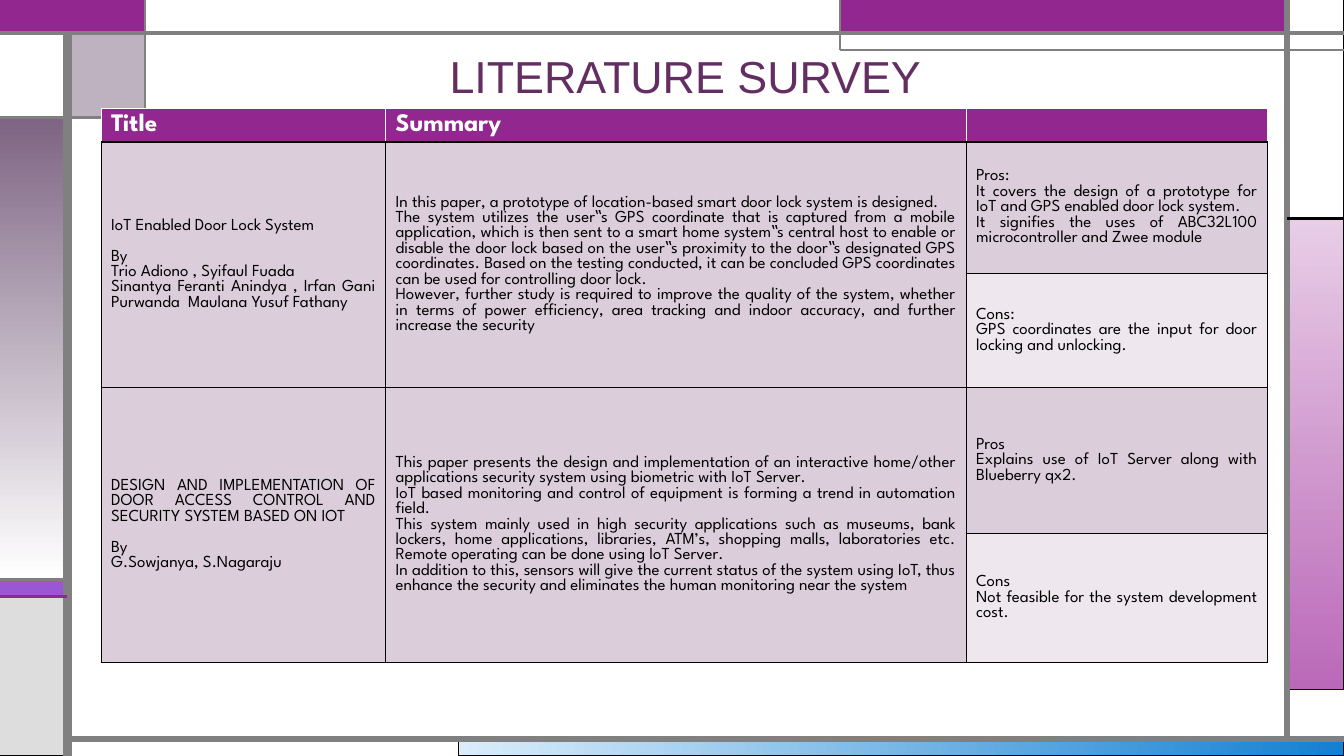
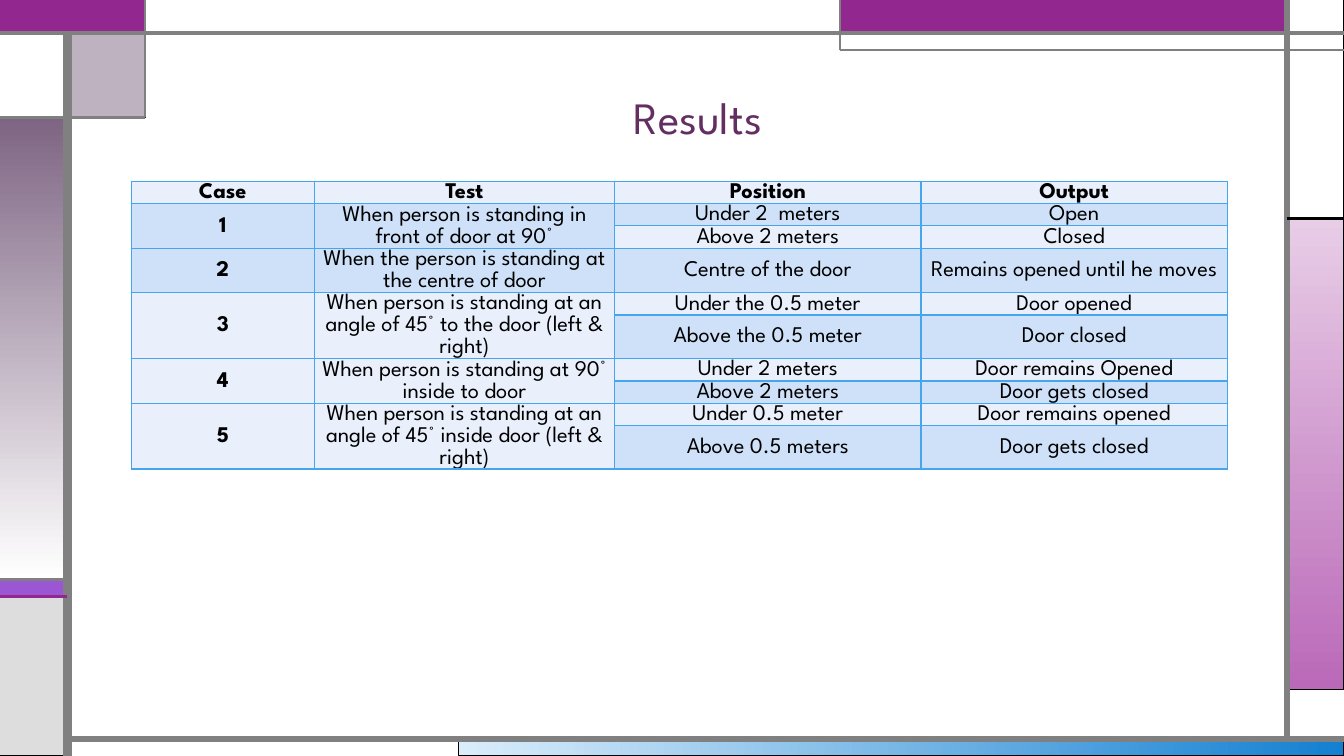
from dataclasses import dataclass

from lxml import etree
from pptx import Presentation
from pptx import util as u
from pptx.dml.color import RGBColor
from pptx.enum import shapes, text
from pptx.oxml import ns


@dataclass(frozen=True)
class Theme:
    purple: str = "92278F"
    violet: str = "9B57D3"
    indigo: str = "755DD9"
    mauve: str = "7E6583"
    plum: str = "632E62"
    lilac: str = "DCCDDB"
    pale_lilac: str = "EEE8EE"
    pink: str = "E8CDE7"
    orchid: str = "BA69B8"
    blue: str = "1480D1"
    sky: str = "45A5ED"
    ice: str = "DAEDFB"
    light_blue: str = "CFE1F8"
    pale_blue: str = "E9F0FC"
    grey: str = "808080"
    silver: str = "DDDDDD"
    black: str = "000000"
    white: str = "FFFFFF"
    body_font: str = "League Spartan"
    plain_font: str = "Arial"
    title_size: float = 32
    header_size: float = 18
    survey_size: float = 12
    result_size: float = 16


@dataclass(frozen=True)
class Band:
    left: float
    top: float
    right: float
    bottom: float
    fill: str
    end: str = ""
    angle: int = 0
    opacity: int = 100
    line: str = "000000"
    weight: float = 0.75


@dataclass(frozen=True)
class Rule:
    x1: float
    y1: float
    x2: float
    y2: float
    weight: float
    color: str = "808080"


@dataclass(frozen=True)
class CellStyle:
    fill: str
    size: float
    borders: tuple[str, str, str, str]
    color: str = "000000"
    bold: bool = False
    align: text.PP_ALIGN = text.PP_ALIGN.JUSTIFY
    anchor: text.MSO_ANCHOR = text.MSO_ANCHOR.MIDDLE
    margin_x: float = 0.25
    margin_y: float = 0.13
    spacing: float = 1.0
    after: float = 0


@dataclass(frozen=True)
class Paper:
    title: tuple[str, ...]
    summary: tuple[str, ...]
    pros: tuple[str, ...]
    cons: tuple[str, ...]


@dataclass(frozen=True)
class TestCase:
    test: str
    outcomes: tuple[tuple[str, str], ...]


T = Theme()
W, H = 33.87, 19.05
X_RAIL, X_BLOCK, X_FOOT, X_TOP, X_SIDE = 1.7, 3.66, 11.56, 21.16, 32.44
Y_TOP, Y_TAB, Y_BLOCK, Y_SIDE = 0.84, 1.27, 2.96, 5.51
Y_RAIL, Y_STRIPE, Y_PINK, Y_FOOT = 14.6, 15.04, 17.37, 18.62

BANDS = (
    Band(X_FOOT, Y_FOOT, W, H, T.ice, T.blue),
    Band(X_SIDE, Y_SIDE, W, Y_PINK, T.pink, T.orchid, 270),
    Band(0, Y_RAIL, X_RAIL, Y_STRIPE, T.violet),
    Band(0, Y_STRIPE, X_RAIL, H, T.silver),
    Band(X_SIDE, 0, W, Y_SIDE, T.white),
    Band(X_TOP, 0, X_SIDE, Y_TOP, T.purple, line=T.indigo),
    Band(X_RAIL, Y_TOP, X_BLOCK, Y_BLOCK, T.mauve, opacity=50),
    Band(0, Y_BLOCK, X_RAIL, Y_RAIL, T.mauve, T.white, 270),
    Band(0, Y_TOP, X_RAIL, Y_BLOCK, T.white),
    Band(0, 0, X_BLOCK, Y_TOP, T.purple, line=T.purple, weight=1.5),
    Band(X_BLOCK, 0, X_TOP, Y_TOP, T.white, line=T.grey),
)
RULES = (
    Rule(X_RAIL, H, X_RAIL, Y_TOP, 6),
    Rule(X_RAIL, Y_FOOT, W, Y_FOOT, 4.5),
    Rule(X_SIDE, Y_FOOT, X_SIDE, 0, 4.5),
    Rule(0, Y_TOP, W, Y_TOP, 3),
    Rule(W, Y_TAB, X_TOP, Y_TAB, 1.5),
    Rule(X_TOP, Y_TAB, X_TOP, 0, 1.5),
    Rule(X_SIDE, Y_SIDE, W, Y_SIDE, 2.25, T.black),
    Rule(X_BLOCK, 0, X_BLOCK, Y_BLOCK, 1.5),
    Rule(X_BLOCK, Y_BLOCK, 0, Y_BLOCK, 2.25),
    Rule(X_RAIL, Y_RAIL, 0, Y_RAIL, 2.25),
    Rule(X_RAIL, Y_STRIPE, 0, Y_STRIPE, 2.25, T.purple),
)

PAPERS = (
    Paper(
        ("IoT Enabled Door Lock System", "By", "Trio Adiono , Syifaul Fuada",
         "Sinantya Feranti Anindya , Irfan Gani Purwanda  Maulana Yusuf Fathany"),
        ("In this paper, a prototype of location-based smart door lock system is designed.",
         "The system utilizes the user‟s GPS coordinate that is captured from a mobile application, "
         "which is then sent to a smart home system‟s central host to enable or disable the door lock "
         "based on the user‟s proximity to the door‟s designated GPS coordinates. Based on the testing "
         "conducted, it can be concluded GPS coordinates can be used for controlling door lock.",
         "However, further study is required to improve the quality of the system, whether in terms of "
         "power efficiency, area tracking and indoor accuracy, and further increase the security"),
        ("Pros:", "It covers the design of a prototype for IoT and GPS enabled door lock system.",
         "It signifies the uses of ABC32L100 microcontroller and Zwee module"),
        ("Cons:", "GPS coordinates are the input for door locking and unlocking."),
    ),
    Paper(
        ("DESIGN AND IMPLEMENTATION OF DOOR ACCESS CONTROL AND SECURITY SYSTEM BASED ON IOT",
         "By", "G.Sowjanya, S.Nagaraju"),
        ("This paper presents the design and implementation of an interactive home/other applications "
         "security system using biometric with IoT Server.",
         "IoT based monitoring and control of equipment is forming a trend in automation field.",
         "This system mainly used in high security applications such as museums, bank lockers, home "
         "applications, libraries, ATM’s, shopping malls, laboratories etc. Remote operating can be "
         "done using IoT Server.",
         "In addition to this, sensors will give the current status of the system using IoT, thus "
         "enhance the security and eliminates the human monitoring near the system"),
        ("Pros", "Explains use of IoT Server along with Blueberry qx2."),
        ("Cons", "Not feasible for the system development cost."),
    ),
)
TEST_CASES = (
    TestCase("When person is standing in front of door at 90°",
             (("Under 2  meters", "Open"), ("Above 2 meters", "Closed"))),
    TestCase("When the person is standing at the centre of door",
             (("Centre of the door", "Remains opened until he moves"),)),
    TestCase("When person is standing at an angle of 45° to the door (left & right)",
             (("Under the 0.5 meter", "Door opened"), ("Above the 0.5 meter", "Door closed"))),
    TestCase("When person is standing at 90° inside to door",
             (("Under 2 meters", "Door remains Opened"), ("Above 2 meters", "Door gets closed"))),
    TestCase("When person is standing at an angle of 45° inside door (left & right)",
             (("Under 0.5 meter", "Door remains opened"), ("Above 0.5 meters", "Door gets closed"))),
)


def rgb(color: str) -> RGBColor:
    return RGBColor.from_string(color)


def add_band(slide, band: Band):
    sp = slide.shapes.add_shape(
        shapes.MSO_SHAPE.RECTANGLE, u.Cm(band.left), u.Cm(band.top),
        u.Cm(band.right - band.left), u.Cm(band.bottom - band.top))
    sp.shadow.inherit = False
    sp.line.color.rgb = rgb(band.line)
    sp.line.width = u.Pt(band.weight)
    if band.end:
        sp.fill.gradient()
        sp.fill.gradient_angle = band.angle
        for stop, color in zip(sp.fill.gradient_stops, (band.fill, band.end)):
            stop.color.rgb = rgb(color)
    else:
        sp.fill.solid()
        sp.fill.fore_color.rgb = rgb(band.fill)
    if band.opacity < 100:
        color = sp.element.spPr.find(ns.qn("a:solidFill"))[0]
        etree.SubElement(color, ns.qn("a:alpha"), val=str(band.opacity * 1000))
    return sp


def add_rule(slide, rule: Rule):
    line = slide.shapes.add_connector(
        shapes.MSO_CONNECTOR.STRAIGHT, u.Cm(rule.x1), u.Cm(rule.y1), u.Cm(rule.x2), u.Cm(rule.y2))
    line.line.color.rgb = rgb(rule.color)
    line.line.width = u.Pt(rule.weight)
    etree.SubElement(line.element.spPr, ns.qn("a:effectLst"))
    return line


def move_frame_to_layout(slide, layout) -> None:
    for ph in list(layout.placeholders):
        if ph.placeholder_format.type != shapes.PP_PLACEHOLDER.TITLE:
            layout.shapes.element.remove(ph.element)
    frame = [add_band(slide, b) for b in BANDS] + [add_rule(slide, r) for r in RULES]
    for sp in frame:
        layout.shapes.element.append(sp.element)


def set_title(slide, title: str, font: str, left: float, top: float, height: float) -> None:
    sp = slide.shapes.title
    sp.left, sp.top, sp.width, sp.height = (u.Cm(v) for v in (left, top, 26.67, height))
    tf = sp.text_frame
    tf.text = title
    tf.auto_size = text.MSO_AUTO_SIZE.NONE
    tf.vertical_anchor = text.MSO_ANCHOR.BOTTOM
    p = tf.paragraphs[0]
    p.alignment = text.PP_ALIGN.CENTER
    p.line_spacing = 0.9
    p.font.name, p.font.size = font, u.Pt(T.title_size)
    p.font.color.rgb = rgb(T.plum)


def add_table(slide, left: float, top: float, cols: tuple[float, ...], rows: tuple[float, ...]):
    table = slide.shapes.add_table(len(rows), len(cols), u.Cm(left), u.Cm(top),
                                   u.Cm(sum(cols)), u.Cm(sum(rows))).table
    table.first_row = table.horz_banding = False
    for col, width in zip(table.columns, cols):
        col.width = u.Cm(width)
    for row, height in zip(table.rows, rows):
        row.height = u.Cm(height)
    return table


def format_cell(cell, lines: tuple[str, ...], style: CellStyle) -> None:
    cell.fill.solid()
    cell.fill.fore_color.rgb = rgb(style.fill)
    cell.vertical_anchor = style.anchor
    cell.margin_left = cell.margin_right = u.Cm(style.margin_x)
    cell.margin_top = cell.margin_bottom = u.Cm(style.margin_y)
    tc_pr = cell.fill._xPr
    for i, (side, color) in enumerate(zip("LRTB", style.borders)):
        ln = etree.Element(ns.qn(f"a:ln{side}"), w=str(u.Pt(1)))
        fill = etree.SubElement(ln, ns.qn("a:solidFill"))
        etree.SubElement(fill, ns.qn("a:srgbClr"), val=color)
        tc_pr.insert(i, ln)
    cell.text_frame.text = "\n".join(lines)
    for p in cell.text_frame.paragraphs:
        p.alignment = style.align
        p.line_spacing = style.spacing
        p.space_after = u.Pt(style.after)
        if p.text == "By":
            p.space_before = u.Pt(style.size * 0.92)
        p.font.name, p.font.size, p.font.bold = T.body_font, u.Pt(style.size), style.bold
        p.font.color.rgb = rgb(style.color)


def put(table, row: int, col: int, lines: tuple[str, ...], style: CellStyle, span: int = 1) -> None:
    for i in range(span):
        format_cell(table.cell(row + i, col), () if i else lines, style)
    if span > 1:
        table.cell(row, col).merge(table.cell(row + span - 1, col))


def build_survey(slide) -> None:
    set_title(slide, "LITERATURE SURVEY", T.plain_font, 3.94, 0.99, 1.73)
    table = add_table(slide, 2.55, 2.73, (7.17, 14.63, 7.59), (0.82, 3.32, 2.87, 3.68, 3.25))
    header = CellStyle(T.purple, T.header_size, (T.white, T.white, T.white, T.black),
                       T.white, True, anchor=text.MSO_ANCHOR.TOP)
    main = CellStyle(T.lilac, T.survey_size, (T.black,) * 4)
    light = CellStyle(T.pale_lilac, T.survey_size, (T.black,) * 4)
    for col, label in enumerate(("Title", "Summary", "")):
        put(table, 0, col, (label,), header)
    for i, paper in enumerate(PAPERS):
        row = 1 + 2 * i
        put(table, row, 0, paper.title, main, 2)
        put(table, row, 1, paper.summary, main, 2)
        put(table, row, 2, paper.pros, main)
        put(table, row + 1, 2, paper.cons, light)


def result_style(row: int, bold: bool = False) -> CellStyle:
    return CellStyle(T.light_blue if row % 2 else T.pale_blue, T.result_size, (T.sky,) * 4,
                     bold=bold, align=text.PP_ALIGN.CENTER, margin_x=0.18, margin_y=0,
                     spacing=1.07, after=8)


def build_results(slide) -> None:
    set_title(slide, "Results", T.body_font, 4.25, 1.73, 2.03)
    table = add_table(slide, 3.31, 4.57, (4.61, 7.57, 7.72, 7.72),
                      (0.56, 0.56, 0.57, 1.12, 0.56, 1.1, 0.56, 0.56, 0.57, 1.08))
    for col, label in enumerate(("Case", "Test", "Position", "Output")):
        put(table, 0, col, (label,), result_style(0, True))
    row = 1
    for number, case in enumerate(TEST_CASES, 1):
        span = len(case.outcomes)
        put(table, row, 0, (str(number),), result_style(row, True), span)
        put(table, row, 1, (case.test,), result_style(row), span)
        for outcome in case.outcomes:
            for col, value in enumerate(outcome, 2):
                put(table, row, col, (value,), result_style(row))
            row += 1


def main() -> None:
    prs = Presentation()
    prs.slide_width, prs.slide_height = u.Cm(W), u.Cm(H)
    layout = prs.slide_layouts[5]
    survey, results = (prs.slides.add_slide(layout) for _ in range(2))
    move_frame_to_layout(survey, layout)
    build_survey(survey)
    build_results(results)
    prs.save("out.pptx")


if __name__ == "__main__":
    main()
